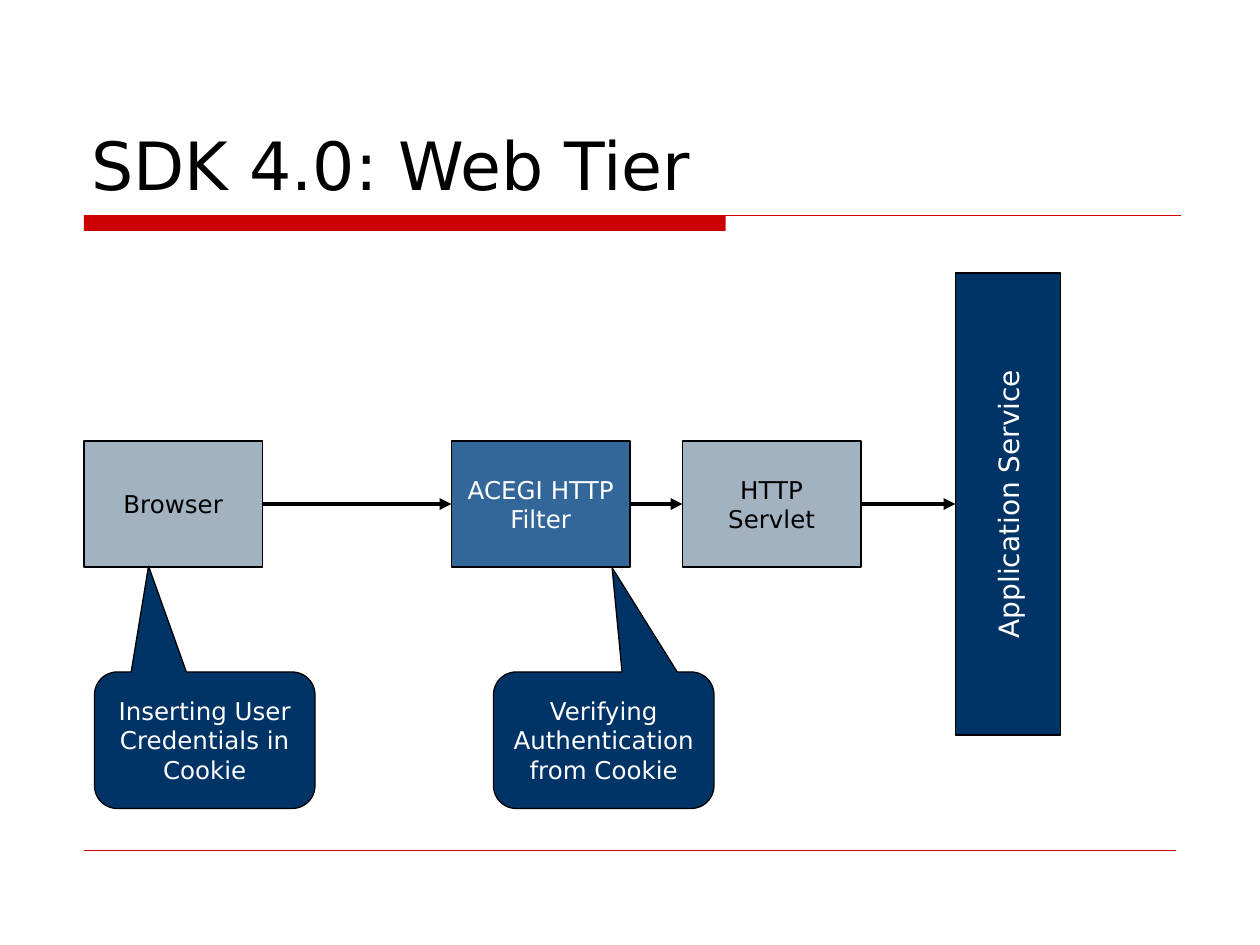
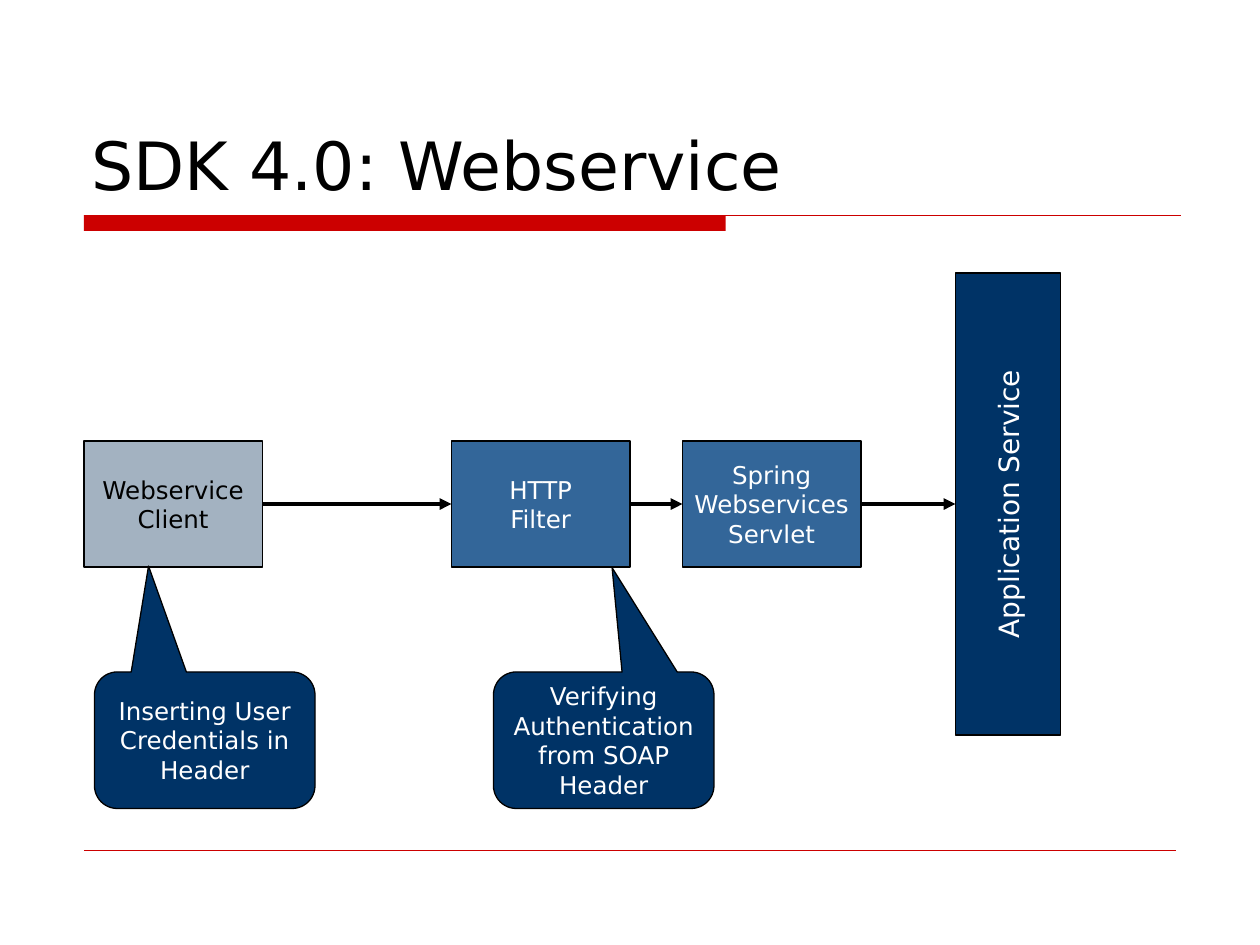
from pptx import Presentation
from pptx.dml.color import RGBColor
from pptx.enum.shapes import MSO_CONNECTOR, MSO_SHAPE
from pptx.enum.text import MSO_ANCHOR as ANCHOR, PP_ALIGN as ALIGN
from pptx.oxml.ns import qn
from pptx.util import Emu, Pt
from lxml import etree

# Content: title, steps as (lines, style), callouts as lines
SLIDES = [
    {
        "title": "SDK 4.0: Web Tier",
        "steps": [
            (["Browser"], "plain"),
            (["ACEGI HTTP", "Filter"], "secure"),
            (["HTTP", "Servlet"], "plain"),
        ],
        "callouts": [
            ["Inserting User", "Credentials in", "Cookie"],
            ["Verifying", "Authentication", "from Cookie"],
        ],
    },
    {
        "title": "SDK 4.0: Webservice",
        "steps": [
            (["Webservice", "Client"], "plain"),
            (["HTTP", "Filter"], "secure"),
            (["Spring", "Webservices", "Servlet"], "secure"),
        ],
        "callouts": [
            ["Inserting User", "Credentials in", "Header"],
            ["Verifying", "Authentication", "from SOAP", "Header"],
        ],
    },
]
SERVICE = ["Application Service"]

# Look
FONT = "DejaVu Sans"
RED, BLACK, WHITE = "CC0000", "000000", "FFFFFF"
STYLES = {  # fill, text colour
    "plain": ("A3B2C1", BLACK),
    "secure": ("336699", WHITE),
    "dark": ("003366", WHITE),
}

# Layout in px, 96 to the inch
PX = 9525
LEFT = 64
TITLE_BOX = (60, 32, 840, 128)
BAND_Y, BAND_W, BAND_H, RULE_END = 164, 489, 12, 900
FOOT_Y, FOOT_END = 648, 896
STEP_XS, STEP_Y, STEP_W, STEP_H = (LEFT, 344, 520), 336, 136, 96
FLOW_Y = STEP_Y + STEP_H // 2
SERVICE_X, SERVICE_W, SERVICE_H = 728, 80, 352
CALLOUT_Y, CALLOUT_W, CALLOUT_H = 512, 168, 104
CALLOUTS = [(72, (-0.255, -1.276, 0.167)), (376, (0.038, -1.264, 0.167))]


def px(*values):
    return [Emu(v * PX) for v in values]


def rgb(color):
    return RGBColor.from_string(color)


def write(sp, lines, size, color, align, anchor, wrap):
    tf = sp.text_frame
    tf.word_wrap, tf.vertical_anchor = wrap, anchor
    font = {"name": FONT, "size": Pt(size)}
    for i, line in enumerate(lines):
        p = tf.paragraphs[0] if i == 0 else tf.add_paragraph()
        p.alignment = align
        r = p.add_run()
        r.text = line
        for key, value in font.items():
            setattr(r.font, key, value)
        r.font.color.rgb = rgb(color)


def add_box(s, preset, box, fill, line=BLACK):
    sp = s.shapes.add_shape(preset, *px(*box))
    sp.shadow.inherit = False
    sp.fill.solid()
    sp.fill.fore_color.rgb = rgb(fill)
    if line:
        sp.line.color.rgb = rgb(line)
        sp.line.width = Pt(0.75)
    else:
        sp.line.fill.background()
    return sp


def add_node(s, preset, box, lines, style, size=14):
    fill, color = STYLES[style]
    sp = add_box(s, preset, box, fill)
    write(sp, lines, size, color, ALIGN.CENTER, ANCHOR.MIDDLE, False)
    return sp


def add_line(s, x1, x2, y, color, width, arrow=False):
    cx = s.shapes.add_connector(MSO_CONNECTOR.STRAIGHT, *px(x1, y, x2, y))
    cx.line.color.rgb = rgb(color)
    cx.line.width = Pt(width)
    if arrow:
        etree.SubElement(cx.line._get_or_add_ln(), qn("a:tailEnd"), type="triangle")
    etree.SubElement(cx._element.spPr, qn("a:effectLst"))


def add_frame(s, title):
    """Title, red band with its rule, and footer rule."""
    add_box(s, MSO_SHAPE.RECTANGLE, (LEFT, BAND_Y, BAND_W, BAND_H), RED, None)
    add_line(s, LEFT, RULE_END, BAND_Y, RED, 0.75)
    add_line(s, LEFT, FOOT_END, FOOT_Y, RED, 0.25)
    sp = s.shapes.add_textbox(*px(*TITLE_BOX))
    write(sp, [title], 38, BLACK, ALIGN.LEFT, ANCHOR.BOTTOM, True)


def add_flow(s, steps, callouts):
    # Steps in a row, each with an arrow to the next
    targets = STEP_XS[1:] + (SERVICE_X,)
    for x, target, (lines, style) in zip(STEP_XS, targets, steps):
        add_node(s, MSO_SHAPE.RECTANGLE, (x, STEP_Y, STEP_W, STEP_H), lines, style)
        add_line(s, x + STEP_W, target, FLOW_Y, BLACK, 2.25, arrow=True)

    # Service bar, turned on its side about its centre
    center = SERVICE_X + SERVICE_W // 2
    bar = (center - SERVICE_H // 2, FLOW_Y - SERVICE_W // 2, SERVICE_H, SERVICE_W)
    add_node(s, MSO_SHAPE.RECTANGLE, bar, SERVICE, "dark", 16).rotation = 270

    # Callouts pointing up at the first two steps
    for (x, adjust), lines in zip(CALLOUTS, callouts):
        sp = add_node(s, MSO_SHAPE.ROUNDED_RECTANGULAR_CALLOUT,
                      (x, CALLOUT_Y, CALLOUT_W, CALLOUT_H), lines, "dark")
        for i, value in enumerate(adjust):
            sp.adjustments[i] = value


def main():
    prs = Presentation()
    prs.slide_width, prs.slide_height = px(960, 720)
    for content in SLIDES:
        s = prs.slides.add_slide(prs.slide_layouts[6])
        add_frame(s, content["title"])
        add_flow(s, content["steps"], content["callouts"])
    prs.save("out.pptx")


if __name__ == "__main__":
    main()
